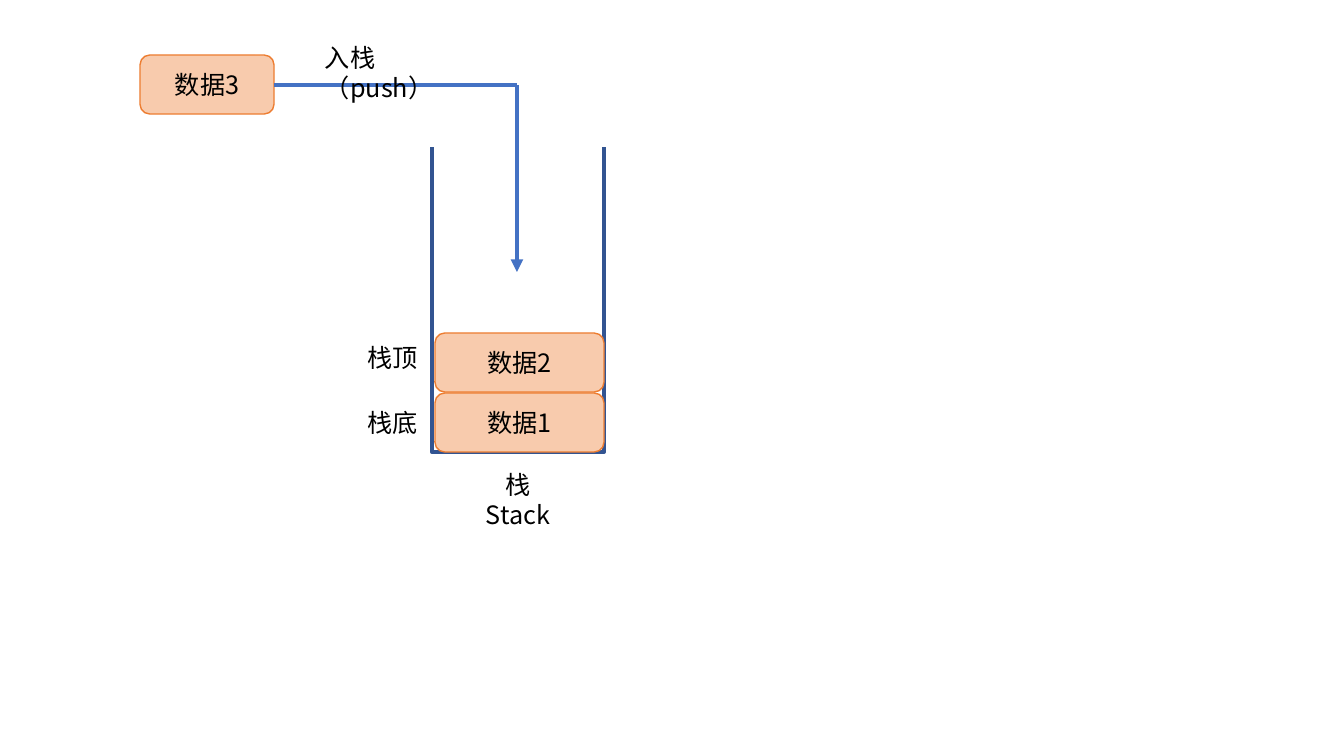
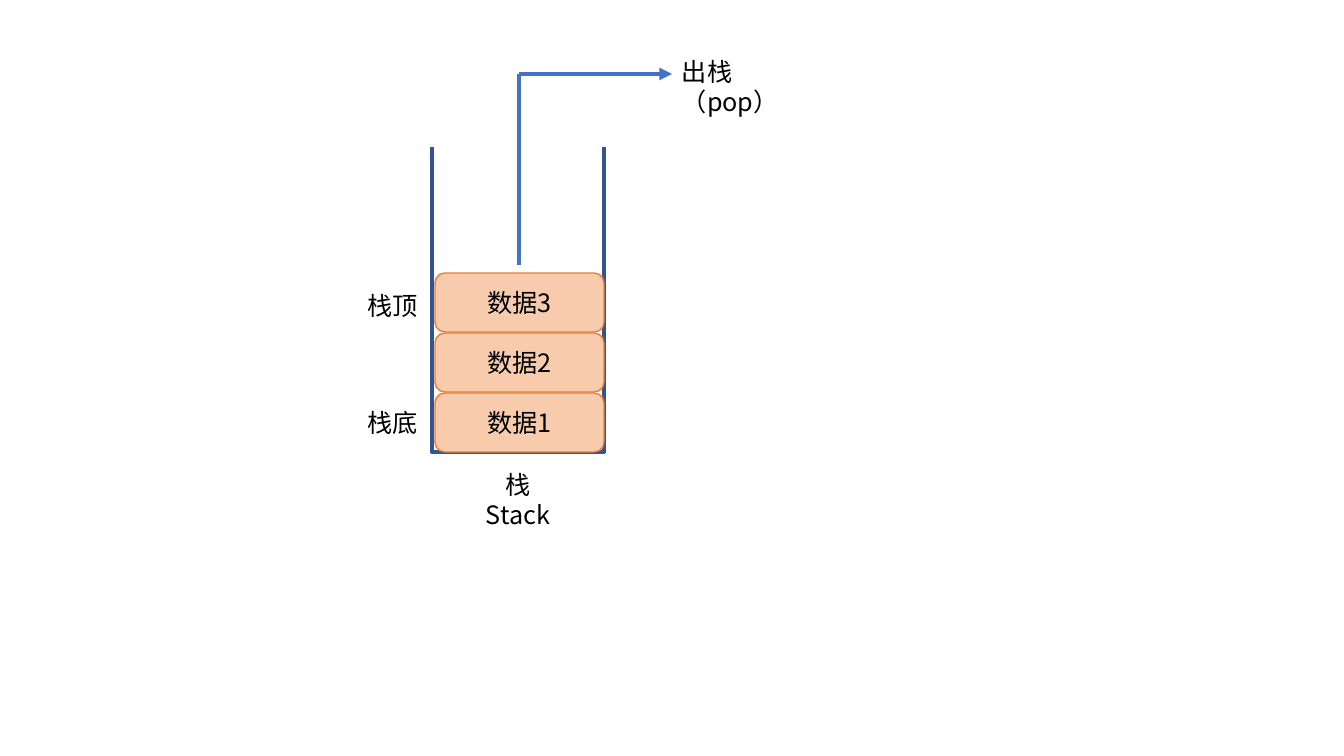
from lxml import etree
from pptx import Presentation
from pptx.dml.color import RGBColor
from pptx.enum.shapes import MSO_CONNECTOR, MSO_SHAPE
from pptx.enum.text import MSO_ANCHOR, MSO_AUTO_SIZE, PP_ALIGN
from pptx.oxml.ns import qn
from pptx.util import Pt

RECT, ROUNDED = MSO_SHAPE.RECTANGLE, MSO_SHAPE.ROUNDED_RECTANGLE
STRAIGHT = MSO_CONNECTOR.STRAIGHT
LEFT, CENTER, RIGHT = PP_ALIGN.LEFT, PP_ALIGN.CENTER, PP_ALIGN.RIGHT
MIDDLE, GROW = MSO_ANCHOR.MIDDLE, MSO_AUTO_SIZE.SHAPE_TO_FIT_TEXT

# Shared style
FONT, FONT_SIZE = "Noto Sans CJK SC", 18
WHITE, BLACK = "FFFFFF", "000000"
WALL, ARROW = "325491", "4472C4"
BLOCK_FILL, BLOCK_EDGE = "F8CBAD", "ED7D31"
THICK, THIN = 3, 1

# Shared geometry in pixels
EMU_PER_PX = 914400 / 100.8
SLIDE_W, SLIDE_H = 1344, 756
STACK_BOX = (432, 128, 172, 324)
BLOCK_H, BLOCK_PITCH = 59, 60
LABEL_W, LABEL_H = 158, 40


def px(length):
    return round(length * EMU_PER_PX)


def rgb(value):
    return RGBColor.from_string(value)


def write(shape, lines, align):
    frame = shape.text_frame
    frame.word_wrap = True
    frame.text = "\n".join(lines)
    for paragraph in frame.paragraphs:
        paragraph.alignment = align
        font = paragraph.font
        font.name, font.size = FONT, Pt(FONT_SIZE)
        font.color.rgb = rgb(BLACK)
        # East Asian typeface for the Chinese characters
        properties = paragraph._p.pPr.find(qn("a:defRPr"))
        etree.SubElement(properties, qn("a:ea"), typeface=FONT)


def add_box(slide, kind, box, fill, edge, weight):
    shape = slide.shapes.add_shape(kind, *map(px, box))
    shape.shadow.inherit = False
    shape.fill.solid()
    shape.fill.fore_color.rgb = rgb(fill)
    shape.line.color.rgb = rgb(edge)
    shape.line.width = Pt(weight)
    return shape


def add_block(slide, box, text):
    block = add_box(slide, ROUNDED, box, BLOCK_FILL, BLOCK_EDGE, THIN)
    block.text_frame.vertical_anchor = MIDDLE
    write(block, [text], CENTER)


def add_label(slide, box, lines, align=LEFT):
    label = slide.shapes.add_textbox(*map(px, box))
    write(label, lines, align)
    label.text_frame.auto_size = GROW


def add_segment(slide, start, end, arrow=False):
    segment = slide.shapes.add_connector(STRAIGHT, *map(px, start + end))
    segment.line.color.rgb = rgb(ARROW)
    segment.line.width = Pt(THICK)
    if arrow:
        etree.SubElement(segment.line._get_or_add_ln(), qn("a:tailEnd"), type="triangle")
    etree.SubElement(segment._element.spPr, qn("a:effectLst"))


def add_elbow(slide, start, corner, end):
    add_segment(slide, start, corner)
    add_segment(slide, corner, end, arrow=True)


def draw_stack(slide, box, items, top_label_y):
    """Open container holding items, listed from bottom to top."""
    x, y, w, h = box
    bottom = y + h
    # Container, with its upper edge covered to leave it open
    add_box(slide, RECT, box, WHITE, WALL, THICK)
    add_box(slide, RECT, (x - 63, y - 14, w + 182, 32), WHITE, WHITE, THIN)
    add_label(slide, (x, bottom + 12, w, 72), ["栈", "Stack"], CENTER)
    # Stored data
    for level, item in enumerate(items):
        top = bottom - BLOCK_H - level * BLOCK_PITCH
        add_block(slide, (x + 3, top, w - 3, BLOCK_H), item)
    # Labels beside the top and bottom entries
    for text, label_y in (("栈顶", top_label_y), ("栈底", bottom - 50)):
        add_label(slide, (x - 162, label_y, LABEL_W, LABEL_H), [text], RIGHT)


def draw_push(slide, box):
    x, y, w, h = box
    middle, block_x, block_y, block_w = x + w // 2 - 1, x - 292, y - 73, 134
    arrow_y = block_y + 30
    add_block(slide, (block_x, block_y, block_w, BLOCK_H), "数据3")
    add_elbow(slide, (block_x + block_w, arrow_y), (middle, arrow_y), (middle, y + 144))
    add_label(slide, (x - 117, y - 91, LABEL_W, LABEL_H), ["入栈（push）"])


def draw_pop(slide, box):
    x, y, w, h = box
    middle, arrow_y, arrow_end = x + w // 2 + 1, y - 54, x + w + 68
    add_elbow(slide, (middle, y + 137), (middle, arrow_y), (arrow_end, arrow_y))
    add_label(slide, (arrow_end, y - 77, LABEL_W, LABEL_H), ["出栈（pop）"])


deck = Presentation()
deck.slide_width, deck.slide_height = px(SLIDE_W), px(SLIDE_H)
blank = deck.slide_layouts[6]

push_slide = deck.slides.add_slide(blank)
draw_stack(push_slide, STACK_BOX, ["数据1", "数据2"], 337)
draw_push(push_slide, STACK_BOX)

pop_slide = deck.slides.add_slide(blank)
draw_stack(pop_slide, STACK_BOX, ["数据1", "数据2", "数据3"], 285)
draw_pop(pop_slide, STACK_BOX)

deck.save("out.pptx")
